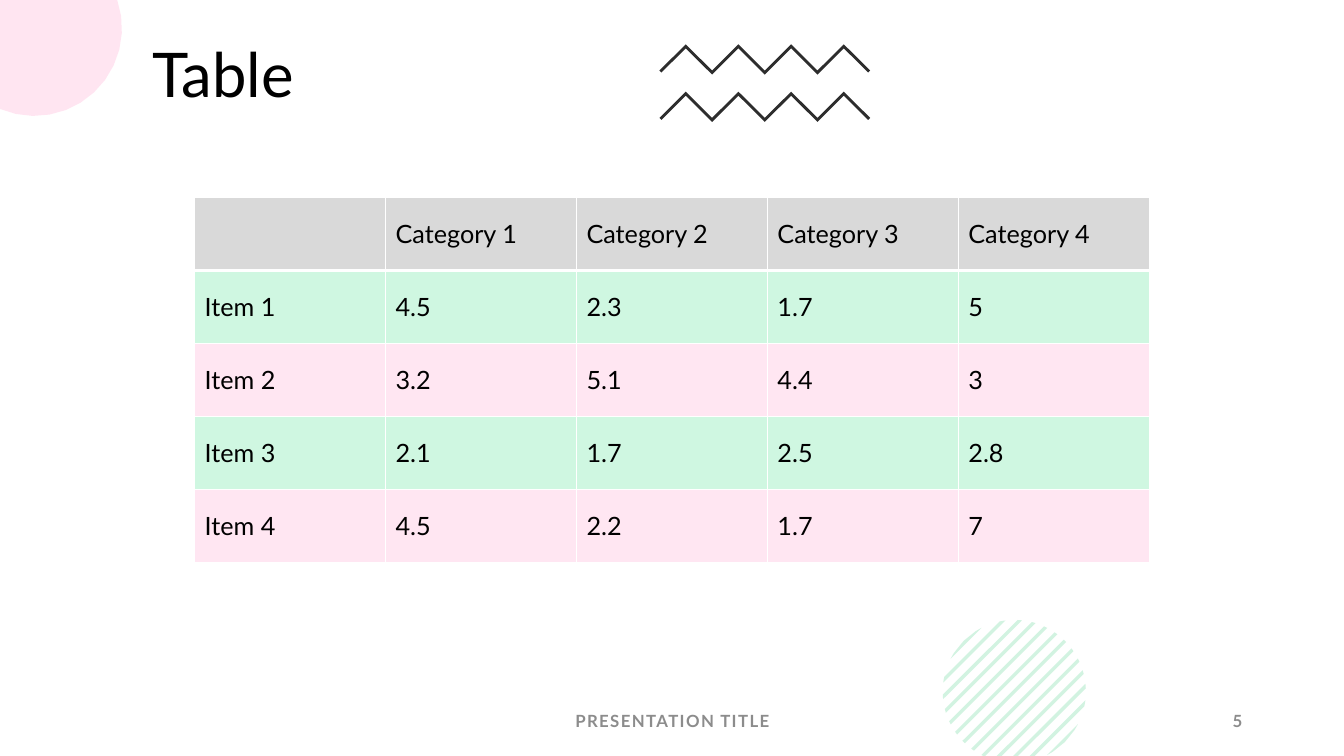
from math import acos, asin, cos, pi, sin, sqrt

from lxml import etree
from pptx import Presentation
from pptx.dml.color import RGBColor
from pptx.enum.text import MSO_ANCHOR, PP_ALIGN
from pptx.oxml.ns import qn
from pptx.util import Inches, Pt

TOP, MIDDLE = MSO_ANCHOR.TOP, MSO_ANCHOR.MIDDLE
LEFT, CENTER, RIGHT = PP_ALIGN.LEFT, PP_ALIGN.CENTER, PP_ALIGN.RIGHT

BLACK = RGBColor(0x00, 0x00, 0x00)
WHITE = RGBColor(0xFF, 0xFF, 0xFF)
CHARCOAL = RGBColor(0x2D, 0x2D, 0x2D)
FOOTER_GRAY = RGBColor(0x8C, 0x8C, 0x8C)
HEADER_GRAY = RGBColor(0xD9, 0xD9, 0xD9)
MINT = RGBColor(0xCF, 0xF7, 0xE1)
BLUSH = RGBColor(0xFF, 0xE6, 0xF2)
GREEN = RGBColor(0x21, 0xC4, 0x6B)
PINK = RGBColor(0xFF, 0x80, 0xBD)

FONT = "Lato"
PAGE_WIDTH, PAGE_HEIGHT = 13.33, 7.5
ROWS = [
    ["", "Category 1", "Category 2", "Category 3", "Category 4"],
    ["Item 1", "4.5", "2.3", "1.7", "5"],
    ["Item 2", "3.2", "5.1", "4.4", "3"],
    ["Item 3", "2.1", "1.7", "2.5", "2.8"],
    ["Item 4", "4.5", "2.2", "1.7", "7"],
]


def add_span(para, text, size, color, bold=False):
    """Add one formatted run to a paragraph."""
    span = para.add_run()
    span.text = text
    span.font.name = FONT
    span.font.size = Pt(size)
    span.font.bold = bold
    span.font.color.rgb = color
    return span


def add_outline(shapes, points, color, opacity=100):
    """Draw a filled outline through points given in inches."""
    corners = [(Inches(x), Inches(y)) for x, y in points]
    builder = shapes.build_freeform(*corners[0], scale=1.0)
    builder.add_line_segments(corners[1:], close=True)
    shape = builder.convert_to_shape()
    shape.shadow.inherit = False
    shape.line.fill.background()
    shape.fill.solid()
    shape.fill.fore_color.rgb = color
    if opacity < 100:
        tint = shape.fill._xPr.find(qn("a:solidFill"))[0]
        etree.SubElement(tint, qn("a:alpha"), val=str(opacity * 1000))


def add_zigzags(page, left, top, width, rise=0.26, thickness=0.04, peaks=4):
    """Draw two zigzag bands, one below the other."""
    group = page.shapes.add_group_shape()
    last = 2 * peaks
    half = thickness / 2
    for band_top in (top, top + 0.47):
        upper = [(left + width * i / last, band_top + (0 if i % 2 else rise))
                 for i in range(last + 1)]
        lower = [(x, y + thickness) for x, y in upper[1:-1]]
        start = (upper[0][0] + half, upper[0][1] + half)
        end = (upper[-1][0] - half, upper[-1][1] + half)
        add_outline(group.shapes, upper + [end] + lower[::-1] + [start], CHARCOAL)


def add_striped_circle(page, left, top, diameter, stripes=13, steps=2):
    """Draw a circle of diagonal stripes, cut at the foot of the page."""
    group = page.shapes.add_group_shape()
    radius = diameter / 2
    thickness = diameter / 42
    center_x, center_y = left + radius, top + radius
    pitch = (diameter - thickness) / (stripes - 1)
    for stripe in range(stripes):
        upper_ends, lower_ends = [], []
        for step in range(steps + 1):
            offset = stripe * pitch + thickness * step / steps - radius
            reach = sqrt(max(0, radius ** 2 - offset ** 2))
            foot = max(-reach, offset - (PAGE_HEIGHT - center_y) * sqrt(2))
            for ends, along in ((upper_ends, reach), (lower_ends, foot)):
                ends.append((center_x + (offset + along) / sqrt(2),
                             center_y + (offset - along) / sqrt(2)))
        add_outline(group.shapes, upper_ends + lower_ends[::-1], GREEN, 20)


def add_corner_circle(page, center_x, center_y, radius, steps=12):
    """Draw a pale circle cut by the top left corner of the page."""
    start = asin(-center_y / radius)
    sweep = acos(-center_x / radius) - start
    angles = [start + sweep * i / steps for i in range(steps + 1)]
    arc = [(center_x + radius * cos(angle), center_y + radius * sin(angle))
           for angle in angles]
    add_outline(page.shapes, [(0, 0)] + arc, PINK, 20)


def add_text(page, left, top, width, height, text, size, color,
             align=LEFT, anchor=MIDDLE, bold=False, spacing=None, line_spacing=None):
    """Add a text box holding one line."""
    box = page.shapes.add_textbox(Inches(left), Inches(top), Inches(width), Inches(height))
    frame = box.text_frame
    frame.word_wrap = True
    frame.vertical_anchor = anchor
    para = frame.paragraphs[0]
    para.alignment = align
    para.line_spacing = line_spacing
    span = add_span(para, text, size, color, bold)
    if spacing:
        span.font._element.set("spc", str(spacing * 100))


def add_border(cell, side, points):
    """Add a white border to one side of a cell."""
    border = etree.SubElement(cell._tc.get_or_add_tcPr(), qn("a:ln" + side),
                              w=str(Pt(points)))
    fill = etree.SubElement(border, qn("a:solidFill"))
    etree.SubElement(fill, qn("a:srgbClr"), val=str(WHITE))


def add_data_table(page, left, top, width, height):
    """Add the table with its gray header and alternating rows."""
    table = page.shapes.add_table(len(ROWS), len(ROWS[0]), Inches(left), Inches(top),
                                  Inches(width), Inches(height)).table
    table.horz_banding = False
    for row_index, row in enumerate(ROWS):
        row_fill = HEADER_GRAY if row_index == 0 else (BLUSH, MINT)[row_index % 2]
        for column_index, text in enumerate(row):
            cell = table.cell(row_index, column_index)
            for side in "LRTB":
                under_header = (row_index, side) in ((0, "B"), (1, "T"))
                add_border(cell, side, 3 if under_header else 1)
            cell.fill.solid()
            cell.fill.fore_color.rgb = row_fill
            cell.vertical_anchor = MIDDLE
            if text:
                add_span(cell.text_frame.paragraphs[0], text, 18, BLACK)


def add_footer(page, top, height):
    """Add the presentation title and page number."""
    style = dict(size=12, color=FOOTER_GRAY, bold=True, spacing=1)
    add_text(page, 4.42, top, 4.5, height, "PRESENTATION TITLE", align=CENTER, **style)
    add_text(page, 9.42, top, 3, height, "5", align=RIGHT, **style)


def main():
    """Build the table slide and save the deck."""
    deck = Presentation()
    deck.slide_width, deck.slide_height = Inches(PAGE_WIDTH), Inches(PAGE_HEIGHT)
    page = deck.slides.add_slide(deck.slide_layouts[6])
    add_zigzags(page, 6.54, 0.44, 2.09)
    add_striped_circle(page, 9.35, 6.15, 1.42)
    add_corner_circle(page, 0.34, 0.28, 0.87)
    add_text(page, 1.41, 0.39, 4.54, 1.56, "Table", 44, BLACK,
             anchor=TOP, line_spacing=0.9)
    add_footer(page, 6.95, 0.4)
    add_data_table(page, 1.93, 1.96, 9.47, 3.62)
    deck.save("out.pptx")


if __name__ == "__main__":
    main()
